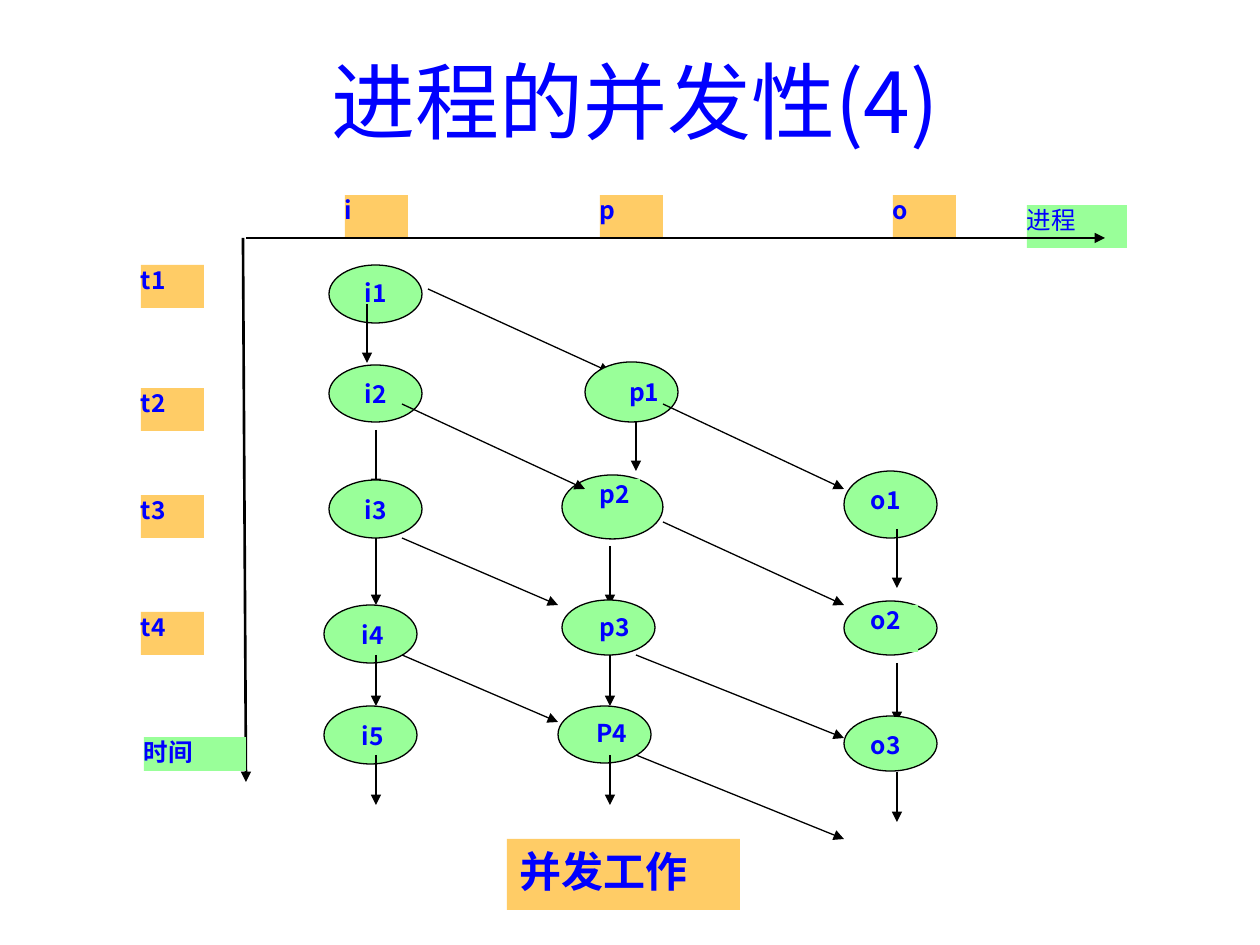
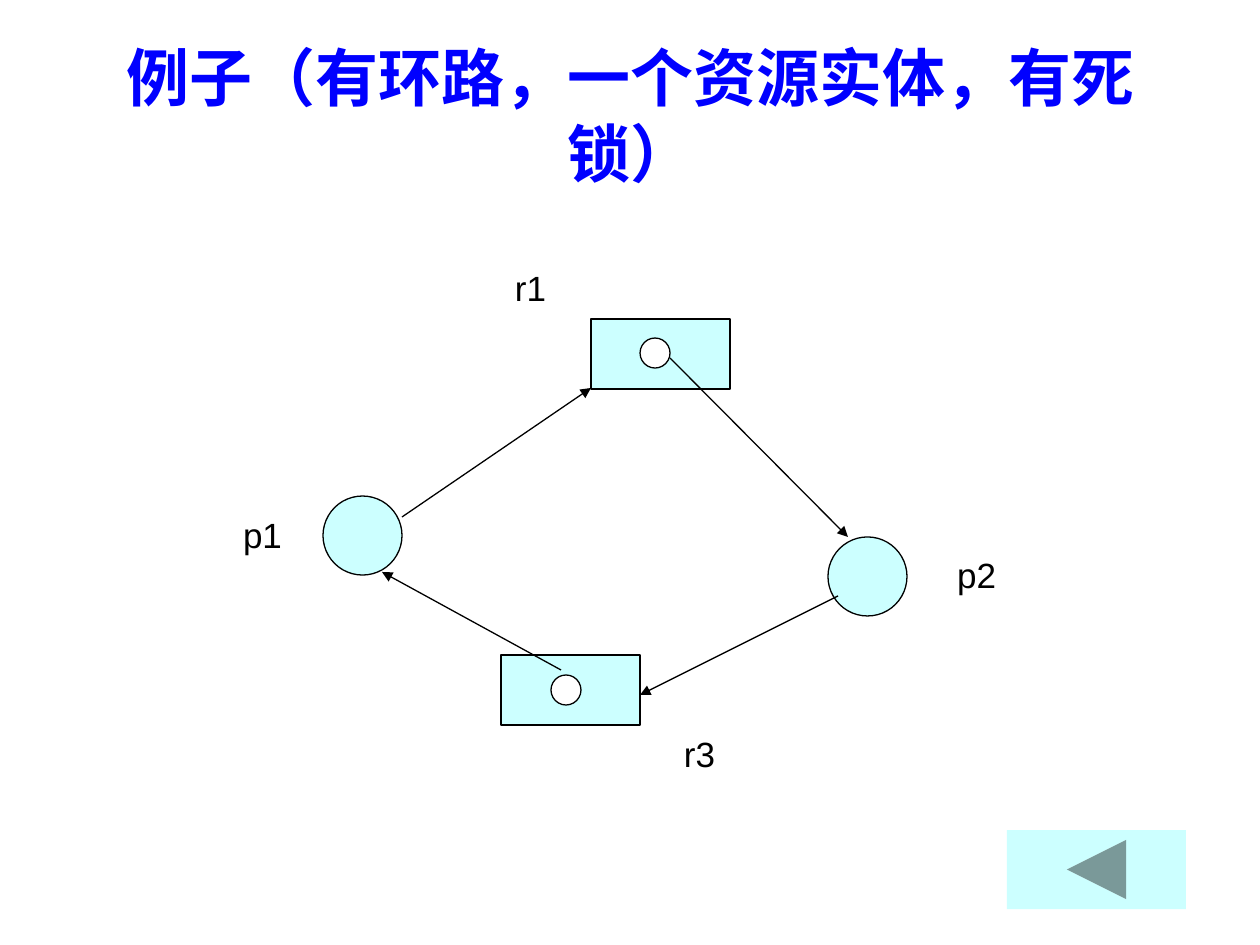
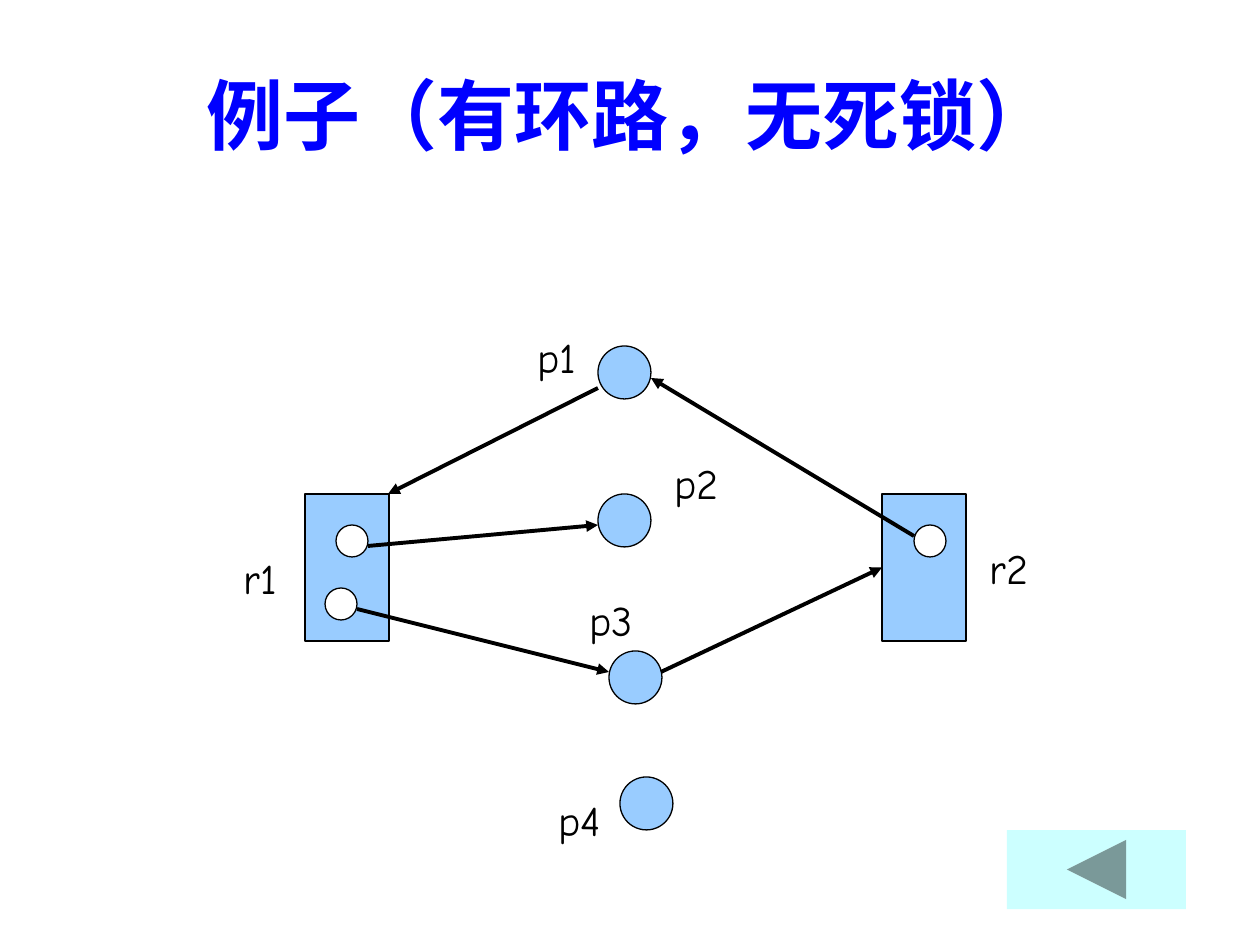
from dataclasses import dataclass

from lxml import etree
from pptx import Presentation, util as u
from pptx.dml.color import RGBColor
from pptx.enum import shapes, text
from pptx.oxml.ns import qn


@dataclass(frozen=True)
class Theme:
    ink: str = "000000"
    blue: str = "0000FF"
    white: str = "FFFFFF"
    green: str = "99FF99"
    gold: str = "FFCC66"
    aqua: str = "CCFFFF"
    sky: str = "99CCFF"
    cjk: str = "Noto Sans CJK JP"
    hans: str = "Noto Sans CJK SC"
    serif: str = "Times New Roman"
    sans: str = "Arial"
    comic: str = "Comic Neue"
    tag: int = 14
    note: int = 24
    thin: float = 0.75
    axis: float = 1.5
    bold: float = 2.25


T = Theme()
PX = 914400 / 126
KIND = shapes.MSO_SHAPE
ALIGN = text.PP_ALIGN

# Slide 1: process columns, time rows and the steps between them
HEADS = [("i", 345), ("p", 600), ("o", 893)]
TIMES = [("t1", 265), ("t2", 388), ("t3", 495), ("t4", 612)]
TAG_W, TAG_H = 63, 43
# name, ellipse box, label box
STEPS = [
    ("i1", (329, 265, 93, 58), (365, 278, 26, 35)),
    ("i2", (329, 365, 93, 57), (365, 379, 37, 34)),
    ("i3", (329, 480, 93, 58), (365, 495, 37, 37)),
    ("i4", (324, 605, 93, 58), (362, 620, 30, 32)),
    ("i5", (324, 706, 93, 58), (362, 721, 40, 30)),
    ("p1", (585, 362, 93, 60), (629, 377, 32, 37)),
    ("p2", (562, 475, 101, 64), (600, 479, 40, 43)),
    ("p3", (562, 600, 93, 55), (600, 612, 40, 29)),
    ("P4", (558, 706, 93, 57), (596, 718, 44, 32)),
    ("o1", (844, 471, 93, 67), (871, 485, 38, 47)),
    ("o2", (844, 601, 93, 54), (871, 605, 47, 47)),
    ("o3", (844, 716, 93, 55), (871, 730, 47, 32)),
]
# Arrows whose heads tuck under the ellipses
UNDER = [
    (428, 289, 610, 372), (376, 430, 376, 489),
    (610, 546, 610, 605), (897, 663, 897, 722),
]
OVER = [
    (367, 304, 367, 363), (376, 538, 376, 605), (376, 655, 376, 706),
    (376, 755, 376, 805), (636, 422, 636, 471), (610, 655, 610, 706),
    (610, 755, 610, 805), (897, 529, 897, 588), (897, 772, 897, 822),
    (402, 404, 585, 489), (402, 538, 558, 605), (402, 655, 558, 722),
    (663, 404, 844, 489), (663, 522, 844, 605), (636, 655, 844, 738),
    (636, 755, 844, 839),
]

# Slides 2 and 3: resource graphs
GRAPHS = [
    dict(
        title="例子（有环路，一个资源实体，有死锁）", size=36,
        fill=T.aqua, font=T.sans, type=20, align=ALIGN.CENTER, line=T.thin,
        block=(139, 70), blocks=[(591, 319), (501, 655)],
        dot=30, dots=[(640, 338), (551, 675)],
        disc=79, discs=[(323, 496), (828, 537)],
        tall=54, names=[("r1", 491, 260, 79), ("r3", 660, 726, 79),
                        ("p1", 223, 507, 79), ("p2", 937, 547, 79)],
        arrows=[(402, 517, 591, 388), (670, 358, 848, 537),
                (838, 596, 640, 695), (561, 670, 382, 572)],
        joins={},
    ),
    dict(
        title="例子（有环路，无死锁）", size=44,
        fill=T.sky, font=T.comic, type=24, align=ALIGN.LEFT, line=T.bold,
        block=(84, 147), blocks=[(305, 494), (882, 494)],
        dot=32, dots=[(336, 525), (325, 588), (914, 525)],
        disc=53, discs=[(598, 346), (598, 494), (609, 651), (620, 777)],
        tall=63, names=[("p1", 525, 325, 95), ("p2", 662, 451, 73),
                        ("p3", 577, 588, 73), ("p4", 546, 788, 84),
                        ("r1", 231, 546, 84), ("r2", 977, 536, 73)],
        arrows=[(914, 536, 651, 378), (357, 609, 609, 672),
                (368, 546, 598, 525), (598, 388, 388, 494),
                (661, 672, 882, 567)],
        joins={4: (1, 1)},  # arrow: (block, side)
    ),
]


def emu(*vals):
    return [u.Emu(round(v * PX)) for v in vals]


def write(shape, words, size, font, color, bold=False, align=ALIGN.LEFT,
          anchor=text.MSO_ANCHOR.TOP, inset=None, asian=None):
    frame = shape.text_frame
    frame.word_wrap = True
    frame.vertical_anchor = anchor
    if inset is not None:
        frame.margin_left = frame.margin_right = inset
        frame.margin_top = frame.margin_bottom = inset
    para = frame.paragraphs[0]
    para.alignment = align
    run = para.add_run()
    run.text = words
    face = run.font
    face.size, face.name, face.bold = u.Pt(size), font, bold
    face.color.rgb = RGBColor.from_string(color)
    # East Asian face follows the Latin one
    ea = etree.Element(qn("a:ea"), typeface=asian or font)
    run._r.rPr.find(qn("a:latin")).addnext(ea)


def draw(slide, kind, box, fill, edge=None):
    shape = slide.shapes.add_shape(kind, *emu(*box))
    shape.shadow.inherit = False
    shape.fill.solid()
    shape.fill.fore_color.rgb = RGBColor.from_string(fill)
    if edge:
        shape.line.color.rgb = RGBColor.from_string(T.ink)
        shape.line.width = u.Pt(edge)
    else:
        shape.line.fill.background()
    return shape


def arrow(slide, ends, width=T.thin):
    link = slide.shapes.add_connector(shapes.MSO_CONNECTOR.STRAIGHT, *emu(*ends))
    link.line.color.rgb = RGBColor.from_string(T.ink)
    link.line.width = u.Pt(width)
    props = link._element.spPr
    etree.SubElement(props.find(qn("a:ln")), qn("a:tailEnd"), type="triangle")
    etree.SubElement(props, qn("a:effectLst"))
    return link


def title(slide, box, words, size, font, bold, asian=None):
    write(slide.shapes.add_textbox(*emu(*box)), words, size, font, T.blue, bold,
          ALIGN.CENTER, text.MSO_ANCHOR.MIDDLE, asian=asian)


def tag(slide, words, box, fill, font=T.cjk, bold=True):
    write(draw(slide, KIND.RECTANGLE, box, fill), words, T.tag, font, T.blue,
          bold, inset=0)


def timeline(slide):
    title(slide, (126, 21, 1018, 158), "进程的并发性(4)", 48, T.cjk, False)
    # Axes and their labels
    arrow(slide, (243, 238, 246, 782), T.axis)
    tag(slide, "进程", (1027, 205, 100, TAG_H), T.green, T.hans, False)
    tag(slide, "时间", (144, 737, 102, 34), T.green)
    for name, x in HEADS:
        tag(slide, name, (x, 195, TAG_W, TAG_H), T.gold)
    for name, y in TIMES:
        tag(slide, name, (141, y, TAG_W, TAG_H), T.gold)
    arrow(slide, (246, 238, 1105, 238), T.axis)
    # Steps between two layers of arrows
    for ends in UNDER:
        arrow(slide, ends)
    for name, oval, label in STEPS:
        draw(slide, KIND.OVAL, oval, T.green, T.thin)
        tag(slide, name, label, T.green)
    for ends in OVER:
        arrow(slide, ends)
    # Caption
    cap = draw(slide, KIND.RECTANGLE, (507, 839, 233, 71), T.gold)
    write(cap, "并发工作", T.note, T.cjk, T.blue, True, ALIGN.JUSTIFY)


def graph(slide, g):
    title(slide, (95, 35, 1071, 158), g["title"], g["size"], T.serif, True, T.hans)
    # Resources, their units and the processes
    blocks = [draw(slide, KIND.RECTANGLE, at + g["block"], g["fill"], T.thin)
              for at in g["blocks"]]
    for spots, side, fill in ((g["dots"], g["dot"], T.white),
                              (g["discs"], g["disc"], g["fill"])):
        for at in spots:
            draw(slide, KIND.OVAL, at + (side, side), fill, T.thin)
    for name, x, y, wide in g["names"]:
        box = slide.shapes.add_textbox(*emu(x, y, wide, g["tall"]))
        write(box, name, g["type"], g["font"], T.ink, align=g["align"])
    # Requests and grants
    for i, ends in enumerate(g["arrows"]):
        link = arrow(slide, ends, g["line"])
        if i in g["joins"]:
            block, side = g["joins"][i]
            link.end_connect(blocks[block], side)
    # Back button
    draw(slide, KIND.ACTION_BUTTON_BACK_OR_PREVIOUS, (1007, 830, 179, 79), T.aqua)


def main():
    deck = Presentation()
    deck.slide_width, deck.slide_height = emu(1260, 945)
    blank = deck.slide_layouts[6]
    timeline(deck.slides.add_slide(blank))
    for g in GRAPHS:
        graph(deck.slides.add_slide(blank), g)
    deck.save("out.pptx")


if __name__ == "__main__":
    main()
